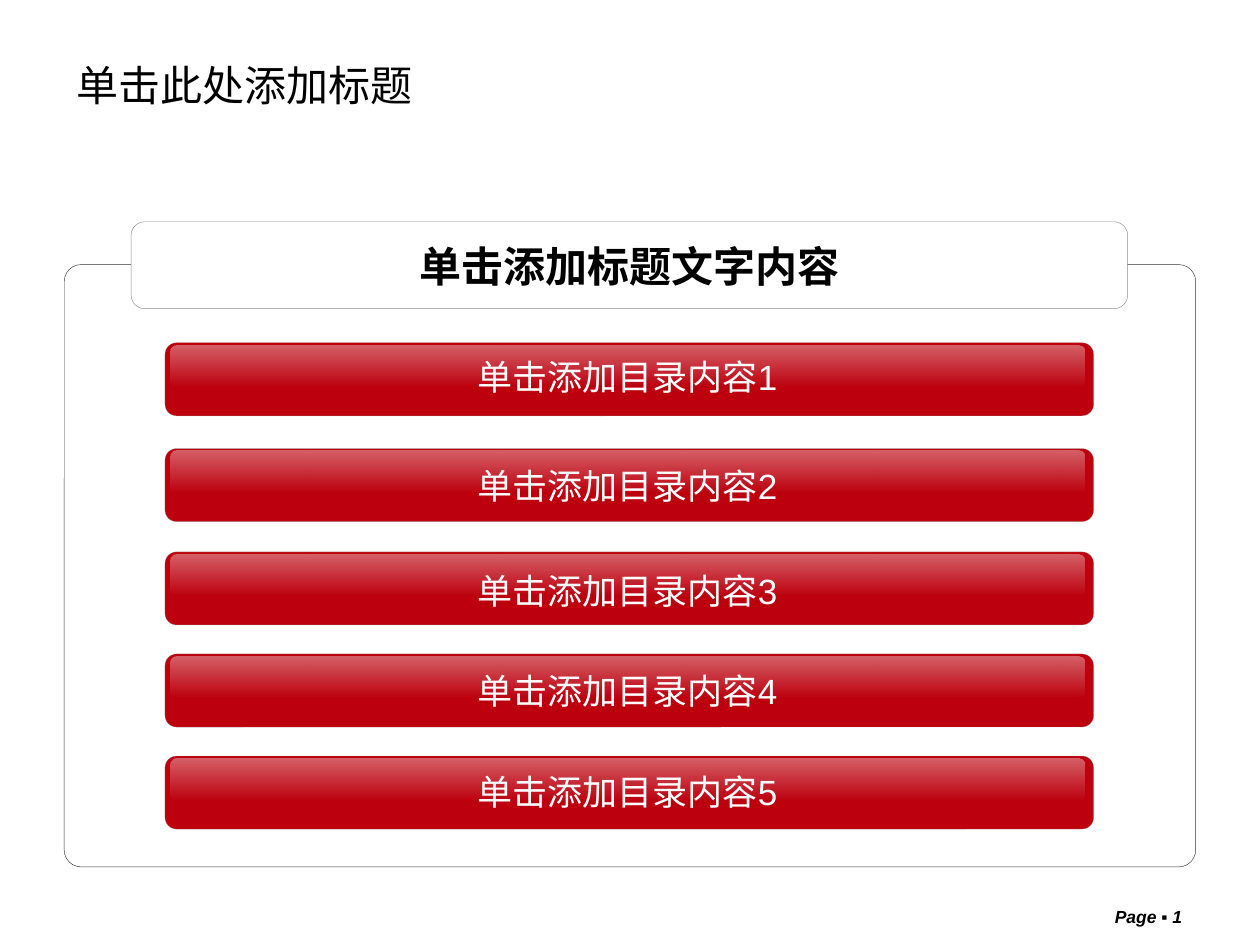
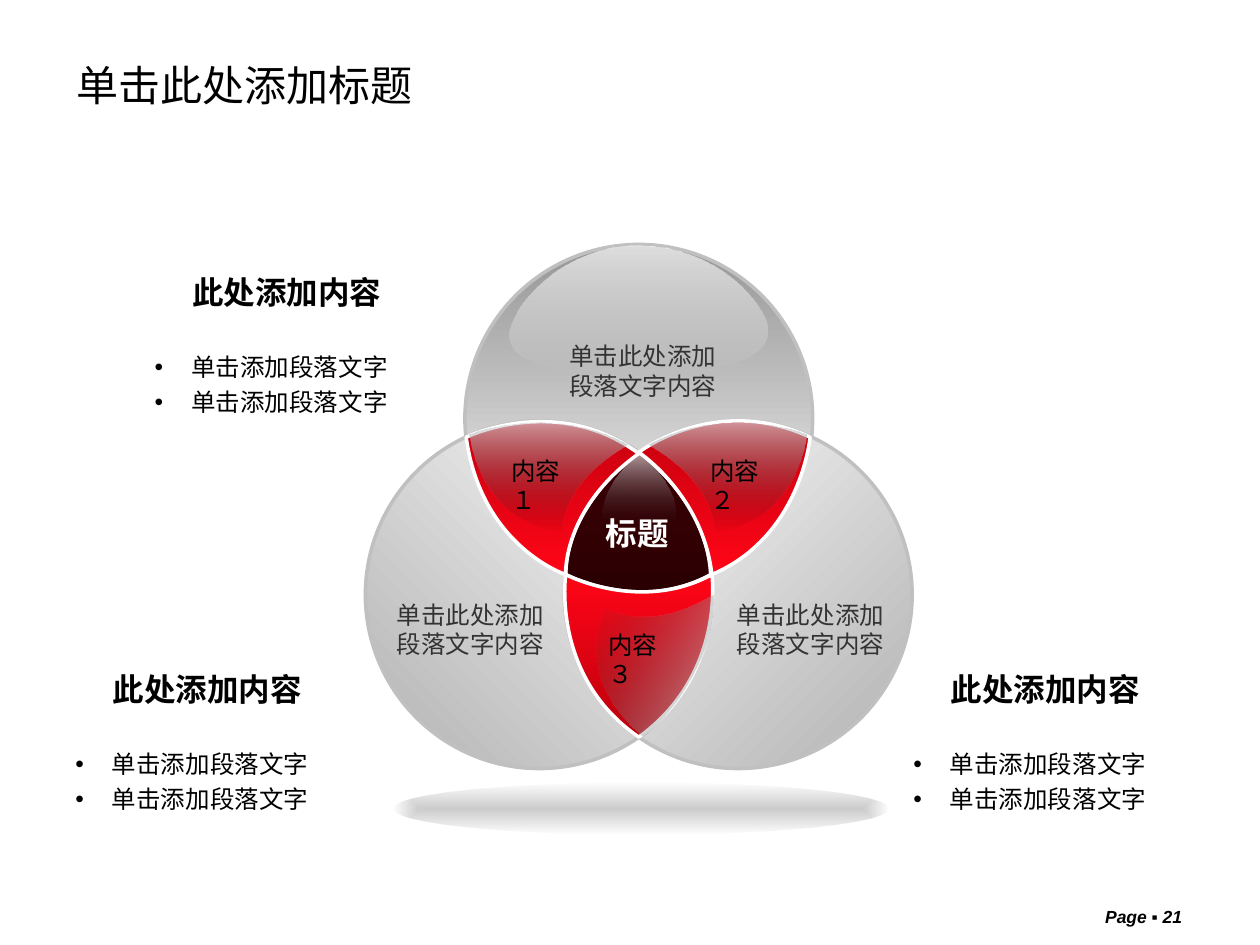
from lxml import etree
from pptx import Presentation
from pptx.dml.color import RGBColor
from pptx.enum import shapes, text
from pptx.oxml.ns import qn
from pptx.util import Inches, Pt

FONT = "Arial"
BLACK, WHITE, DARK = "000000", "FFFFFF", "333333"
RED, BRIGHT_RED = "BC000D", "FF0517"
SILVER, RIM, BAR_EDGE = "B2B2B2", "C0C0C0", "969696"
GLOSS = [(WHITE, 70), (BLACK, 0)]
LEFT, CENTER, RIGHT = text.PP_ALIGN.LEFT, text.PP_ALIGN.CENTER, text.PP_ALIGN.RIGHT
TOP, MIDDLE = text.MSO_ANCHOR.TOP, text.MSO_ANCHOR.MIDDLE
ROUNDED, OVAL = shapes.MSO_SHAPE.ROUNDED_RECTANGLE, shapes.MSO_SHAPE.OVAL


def color(value):
    return RGBColor.from_string(value)


def set_alpha(parent, percents):
    for srgb, percent in zip(parent.iter(qn("a:srgbClr")), percents):
        if percent < 100:
            etree.SubElement(srgb, qn("a:alpha")).set("val", str(percent * 1000))


def set_gradient(shape, stops, angle=90):
    shape.fill.gradient()
    shape.fill.gradient_angle = 360 - angle
    for stop, (value, _) in zip(shape.fill.gradient_stops, stops):
        stop.color.rgb = color(value)
    gradient = shape._element.spPr.find(qn("a:gradFill"))
    set_alpha(gradient, [alpha for _, alpha in stops])
    return gradient


def set_line(shape, value=None, width=0, alpha=100):
    shape.shadow.inherit = False
    if value is None:
        shape.line.fill.background()
        return
    shape.line.color.rgb = color(value)
    shape.line.width = Pt(width)
    set_alpha(shape._element.spPr.find(qn("a:ln")), [alpha])


def add_preset(slide, preset, box, fill=None, rounding=None):
    shape = slide.shapes.add_shape(preset, *map(Inches, box))
    if rounding is not None:
        shape.adjustments[0] = rounding
    if fill:
        shape.fill.solid()
        shape.fill.fore_color.rgb = color(fill)
    else:
        shape.fill.background()
    return shape


def write(frame, lines, size, value=BLACK, bold=False, italic=None, align=LEFT,
          anchor=TOP, wrap=True, grow=False, bullets=False):
    frame.word_wrap = wrap
    frame.vertical_anchor = anchor
    if grow:
        frame.auto_size = text.MSO_AUTO_SIZE.SHAPE_TO_FIT_TEXT
    frame.text = "\n".join(lines)
    for paragraph in frame.paragraphs:
        paragraph.alignment = align
        if bullets:
            properties = paragraph._p.get_or_add_pPr()
            properties.set("marL", str(Inches(0.29)))
            properties.set("indent", str(Inches(-0.29)))
            etree.SubElement(properties, qn("a:buFont")).set("typeface", FONT)
            etree.SubElement(properties, qn("a:buChar")).set("char", "•")
            paragraph.line_spacing = 1.2
        font = paragraph.font
        font.name, font.size, font.bold, font.italic = FONT, Pt(size), bold, italic
        font.color.rgb = color(value)


def add_label(slide, box, lines, size, **style):
    label = slide.shapes.add_textbox(*map(Inches, box))
    write(label.text_frame, lines, size, **style)


def add_page(deck, number):
    slide = deck.slides.add_slide(deck.slide_layouts[6])
    add_label(slide, (7.91, 7.14, 1.57, 0.22), [f"Page ▪ {number}"], 10,
              bold=True, italic=True, align=RIGHT)
    add_label(slide, (0.51, 0.35, 6.38, 0.65), ["单击此处添加标题"], 24, anchor=MIDDLE)
    return slide


def add_glossy_bar(slide, left, top, caption, caption_drop):
    bar = add_preset(slide, ROUNDED, (left, top, 7.37, 0.58), RED, 0.157)
    set_line(bar, BAR_EDGE, 0.25, 57)
    shine = add_preset(slide, ROUNDED, (left + 0.04, top + 0.02, 7.26, 0.33), rounding=0.143)
    set_gradient(shine, [(WHITE, 38), (WHITE, 0)])
    set_line(shine)
    add_label(slide, (left - 0.01, top + caption_drop, 7.36, 0.5), [caption], 20,
              value=WHITE, align=CENTER, anchor=MIDDLE)


def add_contents(slide, left, top):
    frame = add_preset(slide, ROUNDED, (left, top + 0.34, 8.98, 4.78), rounding=0.028)
    set_line(frame, DARK, 0.25)
    heading = add_preset(slide, ROUNDED, (left + 0.53, top, 7.91, 0.69), WHITE, 0.157)
    set_line(heading, DARK, 0.25, 57)
    write(heading.text_frame, ["单击添加标题文字内容"], 24, bold=True, align=CENTER,
          anchor=MIDDLE, wrap=False)
    rows = [(0.96, 0.02), (1.8, 0.04), (2.62, 0.06), (3.43, 0.04), (4.24, 0.03)]
    for number, (drop, caption_drop) in enumerate(rows, 1):
        add_glossy_bar(slide, left + 0.8, top + drop, f"单击添加目录内容{number}",
                       caption_drop)


def add_petal(slide, left, top, points, stops, angle=90, edge=None):
    outline = [(Inches(left + x), Inches(top + y)) for x, y in points]
    builder = slide.shapes.build_freeform(*outline[0], scale=1.0)
    builder.add_line_segments(outline[1:], close=True)
    petal = builder.convert_to_shape()
    segments = list(petal._element.iter(qn("a:lnTo")))
    for first in range(0, len(segments) - 2, 3):
        curve = etree.Element(qn("a:cubicBezTo"))
        segments[first].addprevious(curve)
        for segment in segments[first:first + 3]:
            curve.append(segment[0])
            segment.getparent().remove(segment)
    set_gradient(petal, stops, angle)
    set_line(petal, edge, 2)
    return petal


CORE = [(2.17, 1.65), (2.17, 1.65), (2.71, 2.02), (2.74, 2.62), (2.18, 2.93),
        (1.59, 2.62), (1.59, 2.62), (1.6, 2.04), (2.17, 1.65), (2.17, 1.65)]
RIGHT_OVERLAP = [(2.17, 1.65), (2.17, 1.65), (2.78, 1.18), (3.53, 1.53), (3.53, 1.53),
                 (3.46, 2.32), (2.75, 2.62), (2.68, 1.99), (2.17, 1.65), (2.17, 1.65)]
LEFT_OVERLAP = [(1.59, 2.62), (1.59, 2.62), (0.92, 2.4), (0.8, 1.53), (0.8, 1.53),
                (1.52, 1.18), (2.17, 1.66), (1.56, 2.1), (1.59, 2.62), (1.59, 2.62)]
BOTTOM_OVERLAP = [(1.59, 2.62), (1.59, 2.62), (2.18, 2.93), (2.75, 2.62), (2.75, 2.62),
                  (2.86, 3.41), (2.17, 3.91), (1.47, 3.43), (1.59, 2.62), (1.59, 2.62)]
TOP_GLOSS = [(3.19, 0.68), (3.19, 0.9), (2.85, 1.01), (2.37, 1.01), (2.2, 1.01),
             (2.05, 1.01), (1.88, 1.01), (1.4, 1.01), (1.14, 0.9), (1.14, 0.72),
             (1.14, 0.5), (1.55, 0.01), (2.17, 0.01), (2.8, 0.01), (3.19, 0.5),
             (3.19, 0.68)]
CORE_GLOSS = [(2.17, 1.67), (2.17, 1.67), (1.89, 1.85), (1.88, 2.16), (2.16, 2.32),
              (2.46, 2.16), (2.46, 2.16), (2.46, 1.86), (2.17, 1.67), (2.17, 1.67)]
LEFT_GLOSS = [(1.56, 2.28), (1.35, 2.26), (0.94, 2.13), (0.83, 1.51), (0.83, 1.51),
              (1.49, 1.25), (2.08, 1.59), (1.53, 1.9), (1.56, 2.28), (1.56, 2.28)]
RIGHT_GLOSS = [(4.33 - x, y) for x, y in LEFT_GLOSS]


def add_ground_shadow(slide, left, top):
    shadow = add_preset(slide, OVAL, (left, top, 3.93, 0.41))
    gradient = set_gradient(shadow, [(BLACK, 20), (BLACK, 0)])
    gradient.remove(gradient.find(qn("a:lin")))
    focus = etree.SubElement(gradient, qn("a:path"))
    focus.set("path", "shape")
    center = etree.SubElement(focus, qn("a:fillToRect"))
    for side in "ltrb":
        center.set(side, "50000")
    set_line(shadow)


def add_venn(slide, left, top):
    for x, y, start, end, angle in [(0.79, 0, BAR_EDGE, WHITE, 90),
                                    (0, 1.4, SILVER, WHITE, 315),
                                    (1.58, 1.4, WHITE, SILVER, 45)]:
        circle = add_preset(slide, OVAL, (left + x, top + y, 2.76, 2.76))
        set_gradient(circle, [(start, 100), (end, 100)], angle)
        set_line(circle, RIM, 2)
    for points, start, end in [(CORE, "3A0004", "290003"),
                               (RIGHT_OVERLAP, RED, BRIGHT_RED),
                               (LEFT_OVERLAP, RED, BRIGHT_RED),
                               (BOTTOM_OVERLAP, BRIGHT_RED, RED)]:
        add_petal(slide, left, top, points, [(start, 100), (end, 100)], edge=WHITE)
    add_petal(slide, left, top, TOP_GLOSS, [(WHITE, 70), (WHITE, 0)])
    add_ground_shadow(slide, left + 0.22, top + 4.27)
    add_petal(slide, left, top, CORE_GLOSS, [(WHITE, 60), (BLACK, 0)])
    add_petal(slide, left, top, LEFT_GLOSS, GLOSS)
    add_petal(slide, left, top, RIGHT_GLOSS, GLOSS)
    add_petal(slide, left - 0.58, top + 1.47, RIGHT_GLOSS, GLOSS).rotation = 120
    for x, y in [(2.85, 2.77), (0.15, 2.77), (1.52, 0.72)]:
        add_label(slide, (left + x, top + y, 1.4, 0.57), ["单击此处添加段落文字内容"], 14,
                  value=DARK, grow=True)
    for x, y, caption in [(1.06, 1.63, "内容１"), (2.64, 1.63, "内容２"), (1.83, 3.01, "内容３")]:
        add_label(slide, (left + x, top + y, 0.78, 0.33), [caption], 14, wrap=False, grow=True)
    add_label(slide, (left + 1.81, top + 2.09, 0.7, 0.4), ["标题"], 18, value=WHITE,
              bold=True, wrap=False, grow=True)


def add_note(slide, left, top):
    add_label(slide, (left, top, 2.27, 0.4), ["此处添加内容"], 18, bold=True, align=CENTER,
              grow=True)
    add_label(slide, (left - 0.01, top + 0.58, 2.34, 0.66), ["单击添加段落文字"] * 2, 14,
              bullets=True, grow=True)


def main():
    deck = Presentation()
    deck.slide_width, deck.slide_height = Inches(10), Inches(7.5)
    add_contents(add_page(deck, 1), 0.51, 1.76)
    venn_page = add_page(deck, 21)
    add_venn(venn_page, 2.9, 1.94)
    for left, top in [(1.14, 2.12), (0.51, 5.27), (7.16, 5.27)]:
        add_note(venn_page, left, top)
    deck.save("out.pptx")


if __name__ == "__main__":
    main()
